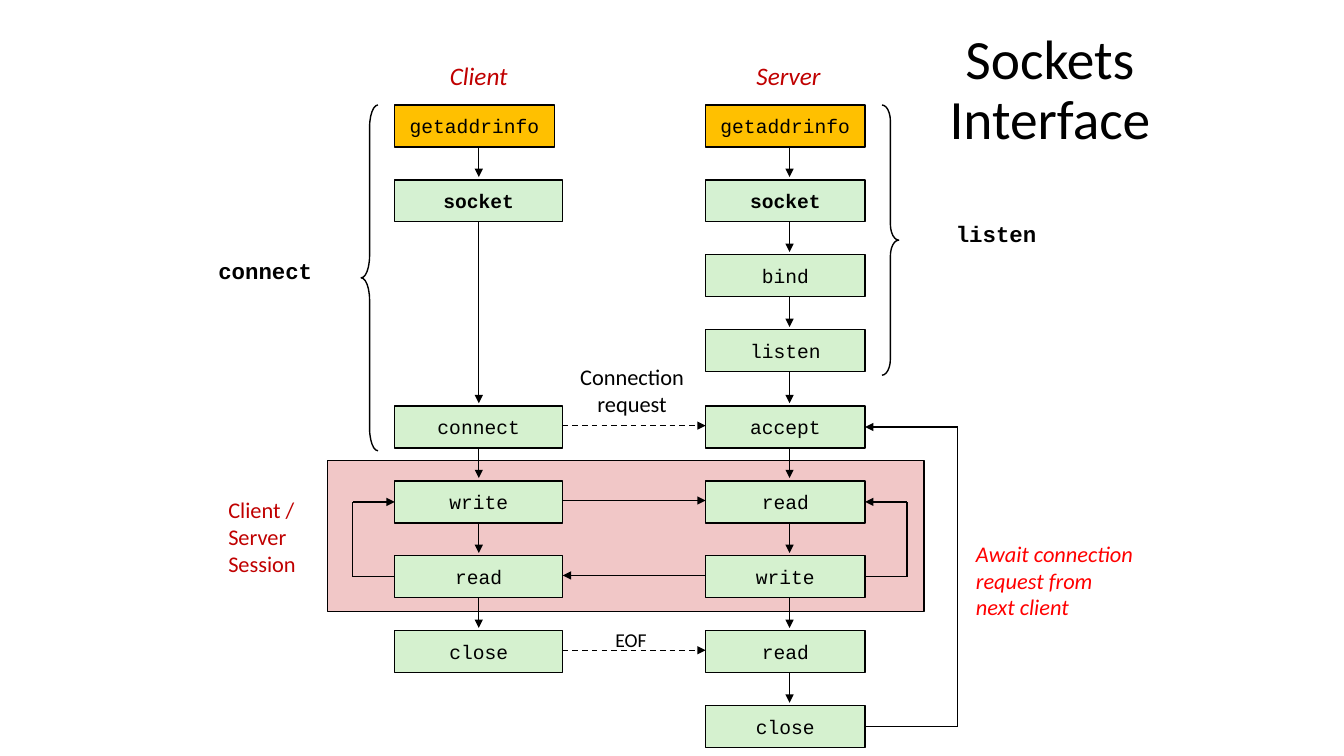
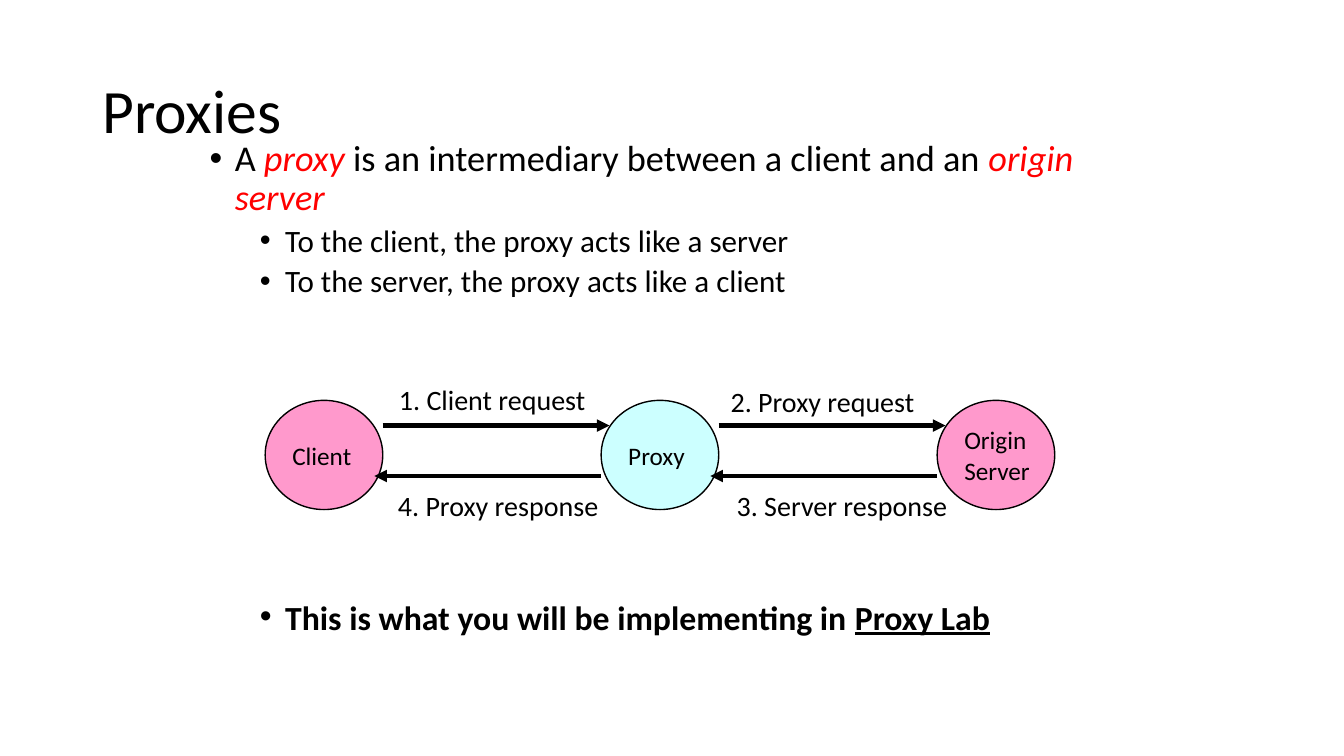
from lxml.etree import SubElement
from pptx import Presentation
from pptx.dml.color import RGBColor
from pptx.enum.dml import MSO_LINE
from pptx.enum.shapes import MSO_CONNECTOR, MSO_SHAPE
from pptx.enum.text import MSO_ANCHOR, PP_ALIGN
from pptx.oxml.ns import qn
from pptx.util import Pt

BLACK = RGBColor(0x00, 0x00, 0x00)
RED = RGBColor(0xFF, 0x00, 0x00)
DARK_RED = RGBColor(0xC0, 0x00, 0x00)
ORANGE = RGBColor(0xFF, 0xC0, 0x00)
GREEN = RGBColor(0xD5, 0xF1, 0xCF)
SOCKET_GREEN = RGBColor(0xD5, 0xF1, 0xD2)
ROSE = RGBColor(0xF1, 0xC7, 0xC7)
PINK = RGBColor(0xFF, 0x99, 0xCC)
CYAN = RGBColor(0xCC, 0xFF, 0xFF)

BODY, CODE = "Calibri", "Courier New"
LEFT, CENTER = PP_ALIGN.LEFT, PP_ALIGN.CENTER
TOP, MIDDLE = MSO_ANCHOR.TOP, MSO_ANCHOR.MIDDLE

STEP_FONT = {"size": Pt(14), "name": CODE}
CALL_FONT = {"size": Pt(16), "name": CODE, "bold": True}
ROLE_FONT = {"size": Pt(18), "italic": True, "color": DARK_RED}
SESSION_FONT = {"size": Pt(16), "color": DARK_RED}
AWAIT_FONT = {"size": Pt(16), "italic": True, "color": RED}
TERM_FONT = {"italic": True, "color": RED}

STEP_HEIGHT, STEP_PITCH = 30, 53.5
CLIENT_WIDTH, SERVER_WIDTH, SERVER_OFFSET = 120, 114, 222
CLIENT_ARROW, SERVER_ARROW = 60, 282
CLIENT_STEPS = {0: "getaddrinfo", 1: "socket", 4: "connect",
                5: "write", 6: "read", 7: "close"}
SERVER_STEPS = dict(enumerate(["getaddrinfo", "socket", "bind", "listen", "accept",
                               "read", "write", "read", "close"]))
STEP_FILLS = {"getaddrinfo": ORANGE, "socket": SOCKET_GREEN}

NODE_WIDTH, NODE_HEIGHT, NODE_PITCH = 84, 78, 240


def style_font(font, style):
    values = {"name": BODY, "color": BLACK, **style}
    font.color.rgb = values.pop("color")
    for attribute, value in values.items():
        setattr(font, attribute, value)


def add_runs(paragraph, runs, style):
    for text, changes in runs:
        run = paragraph.add_run()
        run.text = text
        style_font(run.font, {**style, **changes})


def write(shape, text, style, align=LEFT, anchor=MIDDLE, wrap=False, spacing=None):
    """Fill a shape with one paragraph for each line of text."""
    frame = shape.text_frame
    frame.word_wrap = wrap
    frame.vertical_anchor = anchor
    for index, line in enumerate(text.split("\n")):
        paragraph = frame.paragraphs[0] if index == 0 else frame.add_paragraph()
        paragraph.alignment = align
        if spacing:
            paragraph.line_spacing = spacing
        add_runs(paragraph, [(line, {})], style)


def add_label(slide, box, text, style, **layout):
    write(slide.shapes.add_textbox(*map(Pt, box)), text, style, **layout)


def add_title(slide, box, text, size, align=LEFT):
    add_label(slide, box, text, {"size": Pt(size)}, align=align, wrap=True, spacing=0.9)


def add_outlined(slide, kind, box, fill=None):
    shape = slide.shapes.add_shape(kind, *map(Pt, box))
    shape.shadow.inherit = False
    shape.line.color.rgb = BLACK
    shape.line.width = Pt(1)
    if fill is None:
        shape.fill.background()
    else:
        shape.fill.solid()
        shape.fill.fore_color.rgb = fill
    return shape


def add_line(slide, start, end, width=1, dashed=False, arrow=True):
    connector = slide.shapes.add_connector(
        MSO_CONNECTOR.STRAIGHT, *map(Pt, (*start, *end)))
    line = connector.line
    line.color.rgb = BLACK
    line.width = Pt(width)
    if dashed:
        line.dash_style = MSO_LINE.DASH
    properties = connector.element.spPr
    if arrow:
        SubElement(properties.find(qn("a:ln")), qn("a:tailEnd"), type="triangle")
    SubElement(properties, qn("a:effectLst"))


def step_top(top, row):
    """The rows from accept and connect down sit one point lower."""
    return top + row * STEP_PITCH + (1 if row >= 4 else 0)


def step_middle(top, row):
    return step_top(top, row) + STEP_HEIGHT / 2


def add_loop(slide, edge, outer, top, from_row, to_row):
    """Lead from one step out sideways and back to an earlier step."""
    low, high = step_middle(top, from_row), step_middle(top, to_row)
    corners = [(edge, low), (outer, low), (outer, high), (edge, high)]
    for index, (start, end) in enumerate(zip(corners, corners[1:])):
        add_line(slide, start, end, arrow=index == 2)


def add_step_column(slide, left, top, width, arrow_x, steps):
    rows = list(steps)
    for row, following in zip(rows, rows[1:]):
        add_line(slide, (arrow_x, step_top(top, row) + STEP_HEIGHT),
                 (arrow_x, step_top(top, following) - 2))
    for row, name in steps.items():
        step_width = SERVER_WIDTH if name == "getaddrinfo" else width
        step = add_outlined(slide, MSO_SHAPE.RECTANGLE,
                            (left, step_top(top, row), step_width, STEP_HEIGHT),
                            STEP_FILLS.get(name, GREEN))
        write(step, name, {**STEP_FONT, "bold": name == "socket"}, align=CENTER)


def add_messages(slide, left, right, top):
    for row, to_server, dashed in [(4, True, True), (5, True, False),
                                   (6, False, False), (7, True, True)]:
        y = step_middle(top, row) - 1
        ends = [(left, y), (right, y)]
        add_line(slide, *(ends if to_server else ends[::-1]), dashed=dashed)


def add_braces(slide, left, top):
    for kind, x, height, curve in [(MSO_SHAPE.LEFT_BRACE, -24, 247, 1.33),
                                   (MSO_SHAPE.RIGHT_BRACE, 348, 193, 0.96)]:
        brace = add_outlined(slide, kind, (left + x, top, 12, height))
        brace.adjustments[0] = curve
        brace.adjustments[1] = 0.5


def add_flow_labels(slide, left, top):
    labels = [
        ((32, -35.4, 56, 29), "Client", ROLE_FONT, CENTER, False),
        ((251, -35.4, 60.5, 29), "Server", ROLE_FONT, CENTER, False),
        ((-126, 275.6, 66, 65), "Client / Server\nSession", SESSION_FONT, LEFT, True),
        ((408, 306.6, 132, 65.5), "Await connection\nrequest from\nnext client",
         AWAIT_FONT, LEFT, False),
        ((124, 180.6, 91, 46), "Connection\nrequest", {"size": Pt(16)}, CENTER, False),
        ((150, 370, 37.5, 24.5), "EOF", {"size": Pt(14)}, CENTER, False),
        ((393, 78.4, 73, 26.6), "listen", CALL_FONT, CENTER, False),
        ((-134, 105, 83, 26.6), "connect", CALL_FONT, CENTER, False),
    ]
    for (x, y, width, height), text, style, align, wrap in labels:
        add_label(slide, (left + x, top + y, width, height), text, style,
                  align=align, wrap=wrap)


def add_sockets_flow(slide, left, top):
    """Draw both columns; left and top are the corner of the first client step."""
    server_left = left + SERVER_OFFSET
    client_right = left + CLIENT_WIDTH
    server_right = server_left + SERVER_WIDTH
    add_outlined(slide, MSO_SHAPE.RECTANGLE, (left - 48, top + 254, 426, 108), ROSE)
    add_loop(slide, server_right, server_right + 30, top, 6, 5)
    add_loop(slide, left, left - 30, top, 6, 5)
    add_loop(slide, server_right, server_right + 66, top, 8, 4)
    add_messages(slide, client_right, server_left, top)
    add_step_column(slide, left, top, CLIENT_WIDTH, left + CLIENT_ARROW, CLIENT_STEPS)
    add_step_column(slide, server_left, top, SERVER_WIDTH, left + SERVER_ARROW,
                    SERVER_STEPS)
    add_braces(slide, left, top)
    add_flow_labels(slide, left, top)


def add_proxy_points(slide, box):
    points = [
        (18, 0, 25.9, 0.9, [("A ", {}), ("proxy ", TERM_FONT),
                            ("is an intermediary between a client and an ", {}),
                            ("origin server", TERM_FONT)]),
        (54, 5, 22.2, 0.9, [("To the client, the proxy acts like a server", {})]),
        (54, 5, 22.2, 0.9, [("To the server, the proxy acts like a client", {})]),
        (54, 220, 24.1, 0.7, [
            ("This is what you will be implementing in ", {"bold": True}),
            ("Proxy Lab", {"bold": True, "underline": True})]),
    ]
    frame = slide.shapes.add_textbox(*map(Pt, box)).text_frame
    frame.word_wrap = True
    for index, (indent, before, size, spacing, runs) in enumerate(points):
        paragraph = frame.paragraphs[0] if index == 0 else frame.add_paragraph()
        properties = paragraph._p.get_or_add_pPr()
        properties.set("marL", str(Pt(indent)))
        properties.set("indent", str(-Pt(18)))
        SubElement(properties, qn("a:buFont"), typeface="Arial")
        SubElement(properties, qn("a:buChar"), char="•")
        paragraph.line_spacing = spacing
        paragraph.space_before = Pt(before)
        add_runs(paragraph, runs, {"size": Pt(size)})


def add_proxy_chain(slide, left, top):
    nodes = [("Client", PINK), ("Proxy", CYAN), ("Origin\nServer", PINK)]
    for index, (name, fill) in enumerate(nodes):
        node = add_outlined(
            slide, MSO_SHAPE.OVAL,
            (left + index * NODE_PITCH, top, NODE_WIDTH, NODE_HEIGHT), fill)
        write(node, name, {"size": Pt(18)})
    request_y, response_y, reach = top + 18, top + 54, 162
    for index in range(len(nodes) - 1):
        node_right = left + index * NODE_PITCH + NODE_WIDTH
        next_left = left + (index + 1) * NODE_PITCH
        add_line(slide, (node_right, request_y), (node_right + reach, request_y), width=3)
        add_line(slide, (next_left, response_y), (next_left - reach, response_y), width=3)
    for x, y, width, text in [(88.5, -16, 152, "1. Client request"),
                              (325.4, -14.6, 151, "2. Proxy request"),
                              (329.7, 59.6, 169, "3. Server response"),
                              (87.8, 59.6, 163.5, "4. Proxy response")]:
        add_label(slide, (left + x, top + y, width, 31.7), text, {"size": Pt(20)},
                  anchor=TOP)


def build_sockets_slide(slide):
    add_title(slide, (666, 18, 168, 94.3), "Sockets Interface", 39.6, align=CENTER)
    add_sockets_flow(slide, 282, 75)


def build_proxies_slide(slide):
    add_title(slide, (66, 28.8, 828, 104.4), "Proxies", 44)
    add_proxy_points(slide, (142.6, 96.5, 655, 397.5))
    add_proxy_chain(slide, 189.4, 286)


def main():
    presentation = Presentation()
    presentation.slide_width, presentation.slide_height = Pt(960), Pt(540)
    blank = presentation.slide_layouts[6]
    for build in (build_sockets_slide, build_proxies_slide):
        build(presentation.slides.add_slide(blank))
    presentation.save("out.pptx")


if __name__ == "__main__":
    main()
